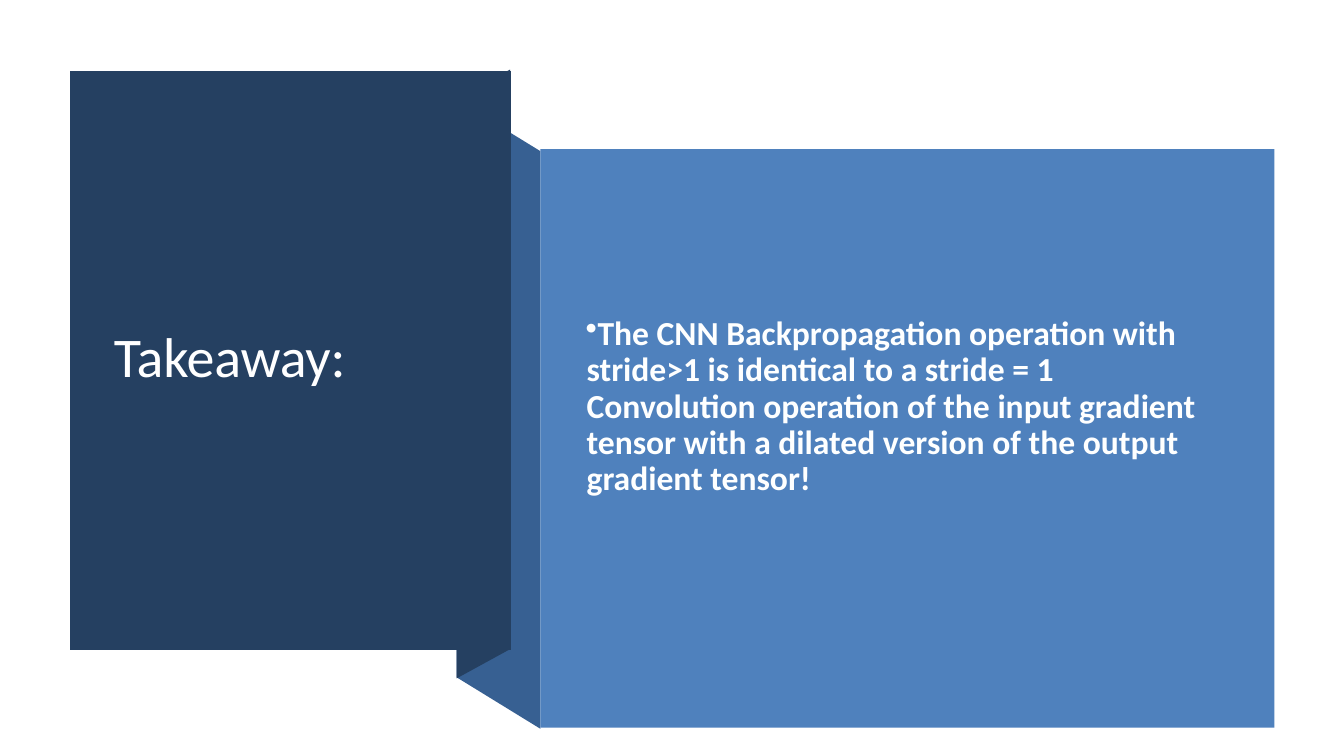
"""Build the takeaway slide with a folded ribbon joining two panels."""
from dataclasses import dataclass

from lxml import etree
from pptx import Presentation
from pptx import util as u
from pptx.dml.color import RGBColor
from pptx.enum import shapes, text
from pptx.oxml.ns import qn

NAVY = RGBColor(0x25, 0x40, 0x61)
STEEL = RGBColor(0x37, 0x60, 0x92)
BLUE = RGBColor(0x4F, 0x81, 0xBD)
WHITE = RGBColor(0xFF, 0xFF, 0xFF)
OFF_WHITE = RGBColor(0xFE, 0xFF, 0xFF)


@dataclass(frozen=True)
class Panel:
    corners: tuple[tuple[float, float], ...]
    color: RGBColor


@dataclass(frozen=True)
class Caption:
    wording: str
    place: tuple[float, float, float, float]
    size: int
    color: RGBColor
    bold: bool = False
    bottom_inset: float = 0.05


RIBBON = (
    Panel(((5.36, 7.23), (4.53, 6.72), (4.53, 0.99), (5.36, 1.5)), STEEL),
    Panel(((5.06, 6.44), (4.53, 6.73), (4.53, 0.98), (5.06, 0.69)), NAVY),
    Panel(((0.69, 0.7), (5.07, 0.7), (5.07, 6.45), (0.69, 6.45)), NAVY),
)
HEADING = Caption("Takeaway:", (1.02, 1.07, 3.71, 4.99), 40, WHITE)
MESSAGE = Caption(
    "The CNN Backpropagation operation with stride>1 is identical to a "
    "stride = 1 Convolution operation of the input gradient tensor with a "
    "dilated version of the output gradient tensor!",
    (5.71, 1.88, 6.51, 4.74), 24, OFF_WHITE, True, 0.47)
MESSAGE_PANEL = (5.36, 1.48, 7.28, 5.74)


def paint(shape, color: RGBColor) -> None:
    """Give a shape a flat fill without outline or shadow."""
    shape.shadow.inherit = False
    shape.fill.solid()
    shape.fill.fore_color.rgb = color
    shape.line.fill.background()


def draw_panel(slide, panel: Panel) -> None:
    """Draw a filled polygon."""
    points = [(u.Inches(x), u.Inches(y)) for x, y in panel.corners]
    builder = slide.shapes.build_freeform(*points[0])
    builder.add_line_segments(points[1:], close=True)
    paint(builder.convert_to_shape(), panel.color)


def add_bullet(para) -> None:
    """Add a hanging bullet and its tab stops to a paragraph."""
    properties = para._p.get_or_add_pPr()
    properties.set("indent", str(u.Inches(-0.25)))
    etree.SubElement(properties, qn("a:buChar"), char="•")
    tabs = etree.SubElement(properties, qn("a:tabLst"))
    for position in (0.41, 0.42):
        etree.SubElement(tabs, qn("a:tab"), pos=str(u.Inches(position)), algn="l")


def write_caption(box, caption: Caption):
    """Place a text box, write its single run and return the paragraph and run."""
    box.left, box.top, box.width, box.height = map(u.Inches, caption.place)
    frame = box.text_frame
    frame.word_wrap = True
    frame.auto_size = text.MSO_AUTO_SIZE.NONE
    frame.vertical_anchor = text.MSO_ANCHOR.MIDDLE
    frame.margin_bottom = u.Inches(caption.bottom_inset)
    para = frame.paragraphs[0]
    para.alignment = text.PP_ALIGN.LEFT
    para.line_spacing = 0.9
    para._p.get_or_add_pPr().set("marL", str(u.Inches(0.01)))
    span = para.add_run()
    span.text = caption.wording
    span.font.name = "Calibri"
    span.font.size = u.Pt(caption.size)
    span.font.bold = caption.bold
    span.font.color.rgb = caption.color
    return para, span


def main() -> None:
    """Compose and save the slide."""
    deck = Presentation()
    deck.slide_width, deck.slide_height = u.Inches(13.33), u.Inches(7.5)
    page = deck.slides.add_slide(deck.slide_layouts[5])

    for panel in RIBBON:
        draw_panel(page, panel)

    title = page.shapes.title
    page.shapes.element.append(title.element)
    _, heading_span = write_caption(title, HEADING)
    heading_span._r.get_or_add_rPr().set("spc", "-10")

    backdrop = page.shapes.add_shape(
        shapes.MSO_SHAPE.RECTANGLE, *map(u.Inches, MESSAGE_PANEL))
    paint(backdrop, BLUE)

    box = page.shapes.add_textbox(*map(u.Inches, MESSAGE.place))
    message_para, _ = write_caption(box, MESSAGE)
    add_bullet(message_para)

    deck.save("out.pptx")


if __name__ == "__main__":
    main()
